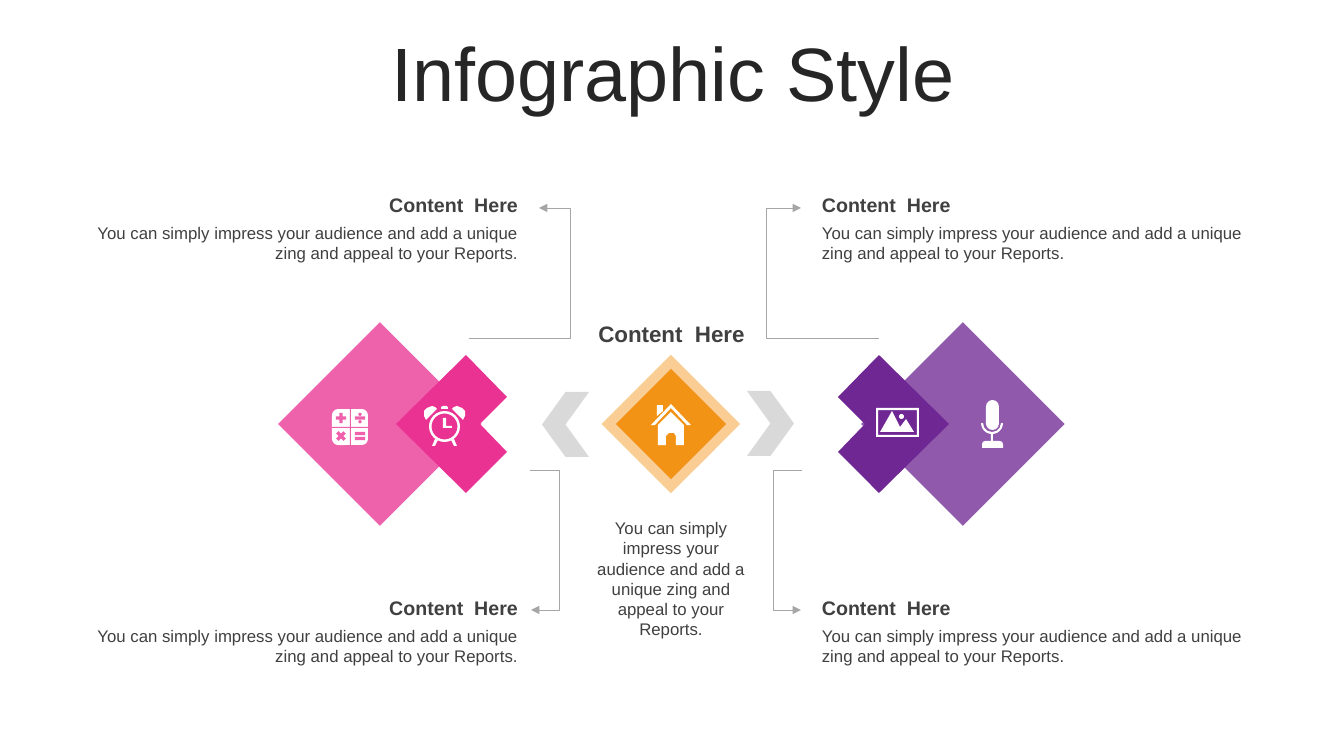
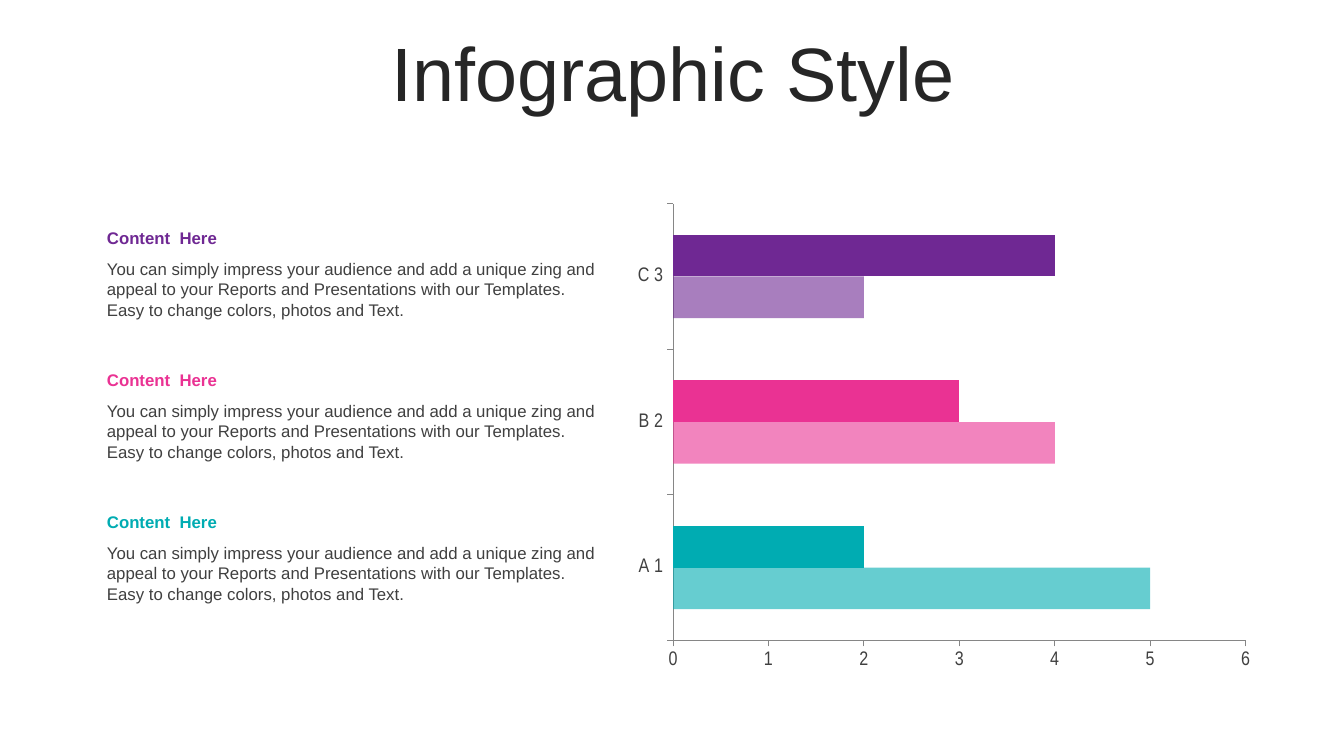
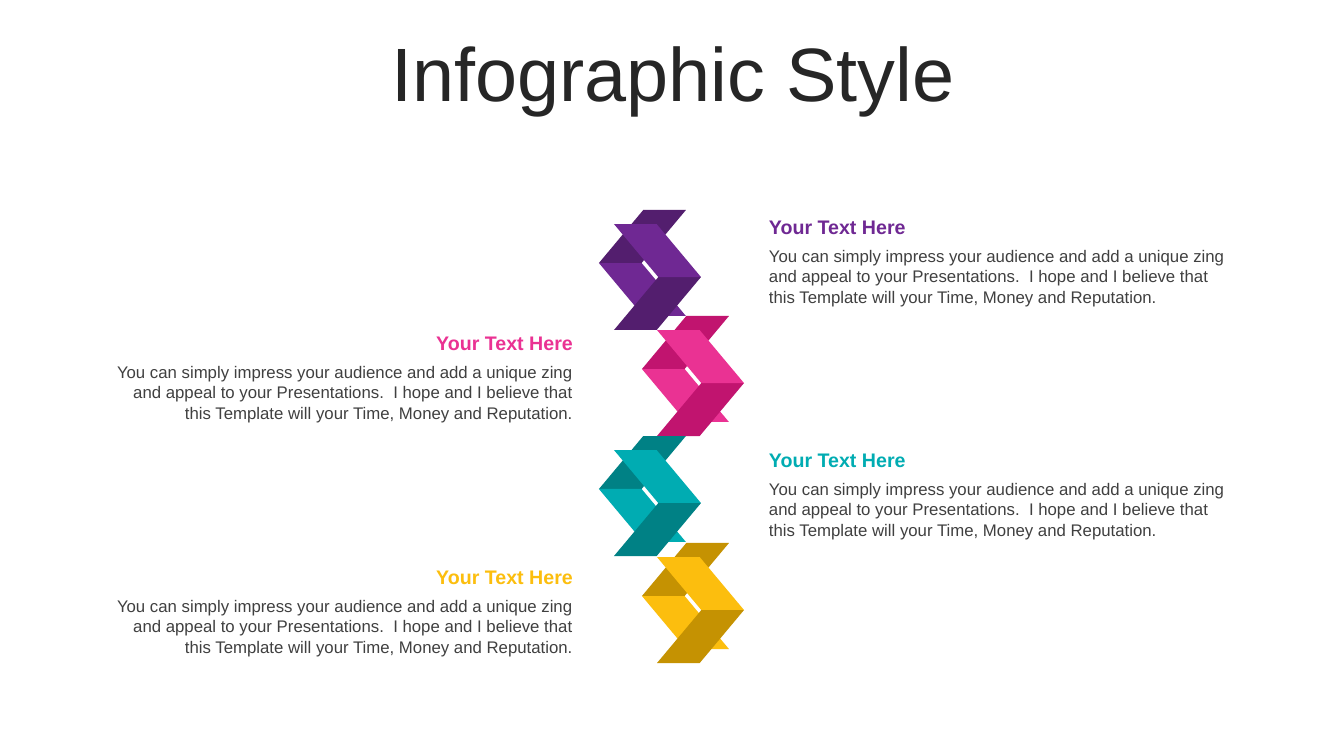
import pptx
import pptx.chart.data
import pptx.dml.color
import pptx.enum.chart
import pptx.enum.shapes
import pptx.enum.text
import pptx.oxml
import pptx.oxml.ns
import pptx.util

PX = 9071  # EMU in one px
MSO = pptx.enum.shapes.MSO_SHAPE
ALIGN = pptx.enum.text.PP_ALIGN
PURPLE, PINK, TEAL, YELLOW, ORANGE = "6F2893", "EA3293", "00ACB2", "FCBE0E", "F28A00"
PALE_PINK = "EF61AC"
INK, TITLE_INK, WHITE, GREY, LINE = "404040", "262626", "FFFFFF", "D9D9D9", "A6A6A6"


def paint(fill, colour, alpha=100):
    fill.solid()
    fill.fore_color.rgb = pptx.dml.color.RGBColor.from_string(colour)
    if alpha < 100:
        for clr in fill._xPr.iter(pptx.oxml.ns.qn("a:srgbClr")):
            pptx.oxml.ns  # alpha belongs inside the colour element
            clr.append(pptx.oxml.parse_xml(
                '<a:alpha xmlns:a="http://schemas.openxmlformats.org/drawingml/2006/main" '
                f'val="{alpha * 1000}"/>'))


def write(s, box, text, size=12, colour=INK, bold=False, align=ALIGN.LEFT):
    tf = s.shapes.add_textbox(*[v * PX for v in box]).text_frame
    tf.word_wrap = True
    tf.auto_size = pptx.enum.text.MSO_AUTO_SIZE.SHAPE_TO_FIT_TEXT
    p = tf.paragraphs[0]
    p.alignment = align
    r = p.add_run()
    r.text = text
    for name, value in {"name": "Arial", "size": pptx.util.Pt(size), "bold": bold}.items():
        setattr(r.font, name, value)
    paint(r.font.fill, colour)


prs = pptx.Presentation()
prs.slide_width, prs.slide_height = 1344 * PX, 756 * PX

# Slides with the shared title
slides = []
for i in range(3):
    s = prs.slides.add_slide(prs.slide_layouts[5])
    sp = s.shapes.title
    sp.left, sp.top, sp.width, sp.height = [v * PX for v in (35, 37, 1276, 80)]
    tf = sp.text_frame
    tf.auto_size = pptx.enum.text.MSO_AUTO_SIZE.NONE
    tf.vertical_anchor = pptx.enum.text.MSO_ANCHOR.MIDDLE
    p = tf.paragraphs[0]
    for name, value in {"alignment": ALIGN.CENTER, "line_spacing": 0.9,
                        "space_before": pptx.util.Pt(10)}.items():
        setattr(p, name, value)
    r = p.add_run()
    r.text = "Infographic Style"
    r.font.name, r.font.size = "Arial", pptx.util.Pt(54)
    paint(r.font.fill, TITLE_INK)
    slides.append(s)

# Slide 1: diamonds
s = slides[0]
for cx, side, colour, alpha in [(380, 144, PINK, 77), (963, 144, PURPLE, 77),
                                (671, 98, ORANGE, 42), (671, 78, ORANGE, 85)]:
    sp = s.shapes.add_shape(MSO.RECTANGLE, (cx - side // 2) * PX, (424 - side // 2) * PX,
                            side * PX, side * PX)
    sp.rotation = 315
    sp.shadow.inherit = False
    sp.line.fill.background()
    paint(sp.fill, colour, alpha)

# Notched diamonds and icon outlines
notched = [(466, 355), (396, 424), (466, 493), (507, 452), (480, 424), (507, 397)]
bell = [(437, 409), (426, 420), (424, 416), (424, 411), (427, 408), (432, 406), (435, 407)]
leg = [(438, 440), (435, 446), (432, 446), (435, 439)]
clock = [bell, leg, [(889 - x, y) for x, y in bell], [(889 - x, y) for x, y in leg],
         [(441, 409), (441, 407), (443, 406), (446, 406), (448, 407), (448, 409)],
         [(443, 418), (446, 418), (446, 426), (452, 426), (452, 428), (443, 428)]]
house = [[(671, 412), (684, 425), (684, 445), (676, 445), (676, 436), (674, 433),
          (669, 433), (666, 436), (666, 445), (658, 445), (658, 425)],
         [(657, 405), (663, 405), (663, 411), (657, 416)],
         [(671, 404), (691, 425), (687, 425), (671, 408), (655, 425), (651, 425)]]
mountains = [[(892, 411), (900, 427), (906, 419), (914, 432), (880, 432)]]
for colour, outlines in [(PINK, [notched]), (PURPLE, [[(1345 - x, y) for x, y in notched]]),
                         (WHITE, clock), (WHITE, house), (WHITE, mountains)]:
    builder = s.shapes.build_freeform(*outlines[0][0], scale=PX)
    for outline in outlines:
        builder.move_to(*outline[0])
        builder.add_line_segments(outline[1:], close=True)
    sp = builder.convert_to_shape()
    sp.shadow.inherit = False
    sp.line.fill.background()
    paint(sp.fill, colour)

# Chevrons and icon parts: kind, box, colour, rotation, adjustments
for kind, box, colour, rotation, adjustments in [
        (MSO.CHEVRON, (542, 392, 47, 65), GREY, 180, {}),
        (MSO.CHEVRON, (747, 391, 47, 65), GREY, 0, {}),
        # Calculator
        (MSO.ROUNDED_RECTANGLE, (332, 409, 36, 36), WHITE, 0, {}),
        (MSO.RECTANGLE, (350, 409, 1, 36), PALE_PINK, 0, {}),
        (MSO.RECTANGLE, (332, 427, 36, 1), PALE_PINK, 0, {}),
        (MSO.MATH_PLUS, (334, 411, 14, 14), PALE_PINK, 0, {}),
        (MSO.MATH_DIVIDE, (353, 411, 14, 14), PALE_PINK, 0, {}),
        (MSO.MATH_MULTIPLY, (334, 429, 14, 14), PALE_PINK, 0, {}),
        (MSO.MATH_EQUAL, (353, 429, 14, 14), PALE_PINK, 0, {}),
        # Clock rim
        (MSO.DONUT, (429, 411, 31, 31), WHITE, 0, {0: 0.08}),
        # Photo frame and sun
        (MSO.FRAME, (876, 408, 43, 29), WHITE, 0, {0: 0.07}),
        (MSO.OVAL, (899, 414, 5, 5), WHITE, 0, {}),
        # Microphone
        (MSO.ROUNDED_RECTANGLE, (986, 400, 13, 30), WHITE, 0, {0: 0.5}),
        (MSO.BLOCK_ARC, (981, 412, 22, 22), WHITE, 180, {2: 0.09}),
        (MSO.RECTANGLE, (991, 433, 2, 9), WHITE, 0, {}),
        (MSO.ROUND_2_SAME_RECTANGLE, (982, 441, 21, 7), WHITE, 0, {0: 0.5})]:
    sp = s.shapes.add_shape(kind, *[v * PX for v in box])
    sp.rotation = rotation
    sp.shadow.inherit = False
    sp.line.fill.background()
    paint(sp.fill, colour)
    for n, value in adjustments.items():
        sp.adjustments[n] = value

# Bent arrows: start, bend and end x; start and end y
for x0, x1, x2, y0, y1 in [(530, 559, 531, 470, 610), (802, 773, 801, 470, 610),
                           (469, 570, 539, 338, 208), (879, 766, 801, 338, 208)]:
    builder = s.shapes.build_freeform(x0, y0, scale=PX)
    builder.add_line_segments([(x1, y0), (x1, y1), (x2, y1)], close=False)
    sp = builder.convert_to_shape()
    sp.shadow.inherit = False
    sp.fill.background()
    paint(sp.line.fill, LINE)
    sp.line.width = pptx.util.Pt(0.5)
    sp.line._get_or_add_ln().append(pptx.oxml.parse_xml(
        '<a:tailEnd xmlns:a="http://schemas.openxmlformats.org/drawingml/2006/main" '
        'type="triangle"/>'))

# Texts in the corners and the middle
head = "Content  Here"
body = "You can simply impress your audience and add a unique zing and appeal to your Reports."
for x, align in [(82, ALIGN.RIGHT), (812, ALIGN.LEFT)]:
    for y in (188, 591):
        write(s, (x, y, 446, 34), head, 14, bold=True, align=align)
        write(s, (x, y + 30, 446, 50), body, align=align)
write(s, (571, 315, 201, 37), head, 16, bold=True, align=ALIGN.CENTER)
write(s, (578, 513, 186, 132), body, align=ALIGN.CENTER)

# Slide 2: texts
s = slides[1]
body = ("You can simply impress your audience and add a unique zing and appeal to your Reports "
        "and Presentations with our Templates. Easy to change colors, photos and Text.")
for i, colour in enumerate([PURPLE, PINK, TEAL]):
    y = 223 + 142 * i
    write(s, (97, y, 520, 30), head, colour=colour, bold=True)
    write(s, (97, y + 31, 520, 72), body)

# Bar chart
data = pptx.chart.data.CategoryChartData()
data.categories = ["A 1", "B 2", "C 3"]
data.add_series("Series 1", [5, 4, 2])
data.add_series("Series 2", [2, 3, 4])
chart = s.shapes.add_chart(pptx.enum.chart.XL_CHART_TYPE.BAR_CLUSTERED,
                           *[v * PX for v in (625, 194, 638, 485)], data).chart
chart.has_legend = chart.has_title = False
chart.font.name, chart.font.size = "Arial", pptx.util.Pt(18)
plot = chart.plots[0]
plot.gap_width, plot.overlap, plot.vary_by_categories = 150, 0, False
for series, alpha in zip(plot.series, (60, 100)):
    paint(series.format.fill, PURPLE, alpha)
    for n, colour in enumerate([TEAL, PINK]):
        paint(series.points[n].format.fill, colour, alpha)
for axis in (chart.category_axis, chart.value_axis):
    axis.has_major_gridlines = False
    axis.major_tick_mark = pptx.enum.chart.XL_TICK_MARK.OUTSIDE
    axis.minor_tick_mark = pptx.enum.chart.XL_TICK_MARK.NONE
    paint(axis.format.line.fill, "868686")
    font = axis.tick_labels.font
    font.name, font.size = "Arial Narrow", pptx.util.Pt(14)
    paint(font.fill, INK)
for name, value in {"minimum_scale": 0, "maximum_scale": 6, "major_unit": 1}.items():
    setattr(chart.value_axis, name, value)

# Slide 3: folded ribbons, each with a text beside it
s = slides[2]
body = ("You can simply impress your audience and add a unique zing and appeal to your "
        "Presentations.  I hope and I believe that this Template will your Time, Money "
        "and Reputation.")
for i, (top, colour, dark) in enumerate([(210, PURPLE, "531E6E"), (316, PINK, "C1146F"),
                                         (436, TEAL, "008185"), (543, YELLOW, "C59202")]):
    left = 599 + 43 * (i % 2)
    for dx, dy, shade, rotation, flip in [(0, 0, dark, 0, False), (0, 53, colour, 0, True),
                                          (15, 67, dark, 180, False), (15, 14, colour, 180, True)]:
        sp = s.shapes.add_shape(MSO.PARALLELOGRAM, (left + dx) * PX, (top + dy) * PX,
                                87 * PX, 53 * PX)
        sp.adjustments[0] = 0.836
        sp.rotation = rotation
        if flip:
            sp._element.spPr.xfrm.set("flipH", "1")
        sp.shadow.inherit = False
        sp.line.fill.background()
        paint(sp.fill, shade)
    x, align = [(759, ALIGN.LEFT), (99, ALIGN.RIGHT)][i % 2]
    y = 210 + 350 * i // 3
    write(s, (x, y, 484, 34), "Your Text Here", 14, colour, True, align)
    write(s, (x, y + 31, 484, 72), body, align=align)

prs.save("out.pptx")
